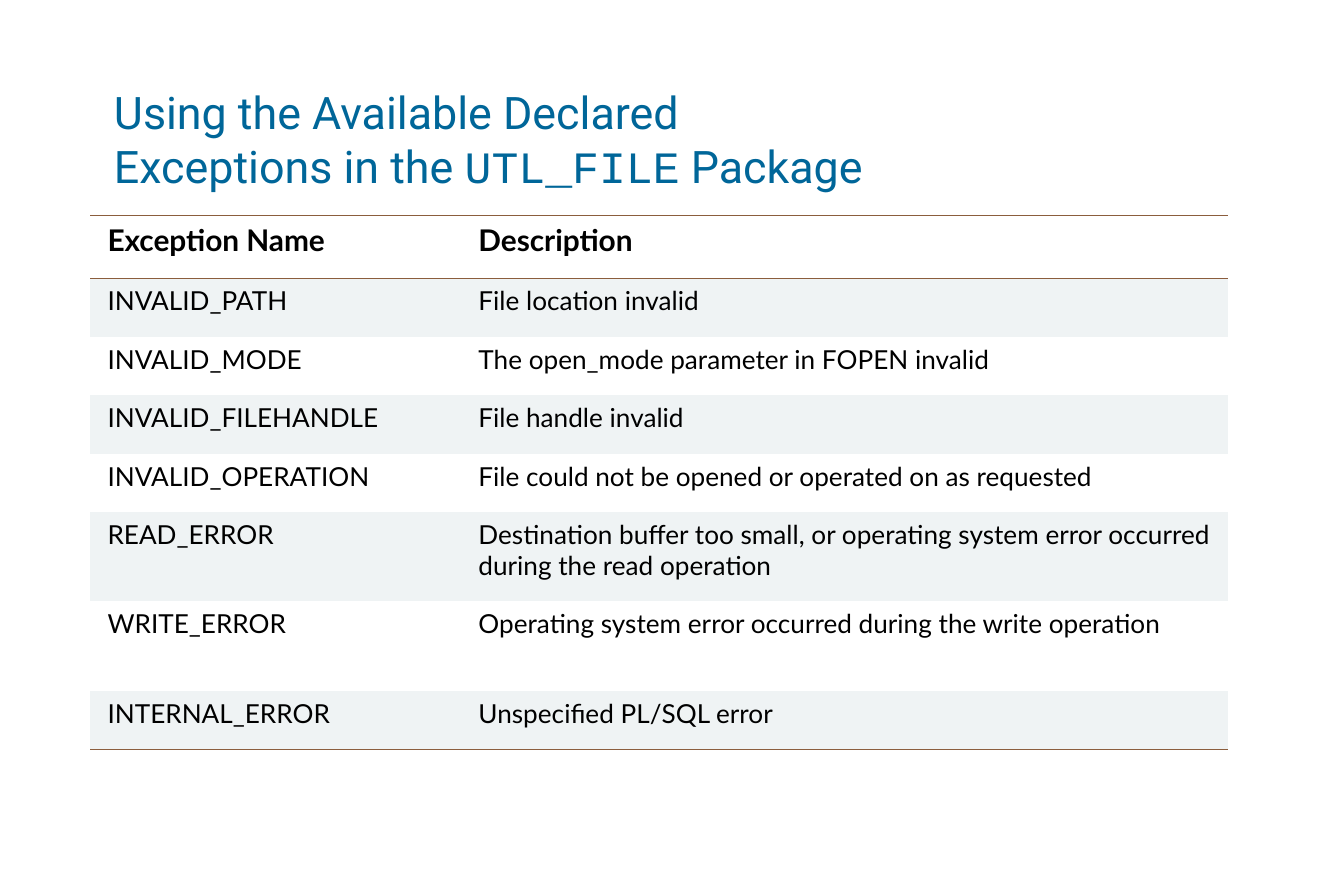
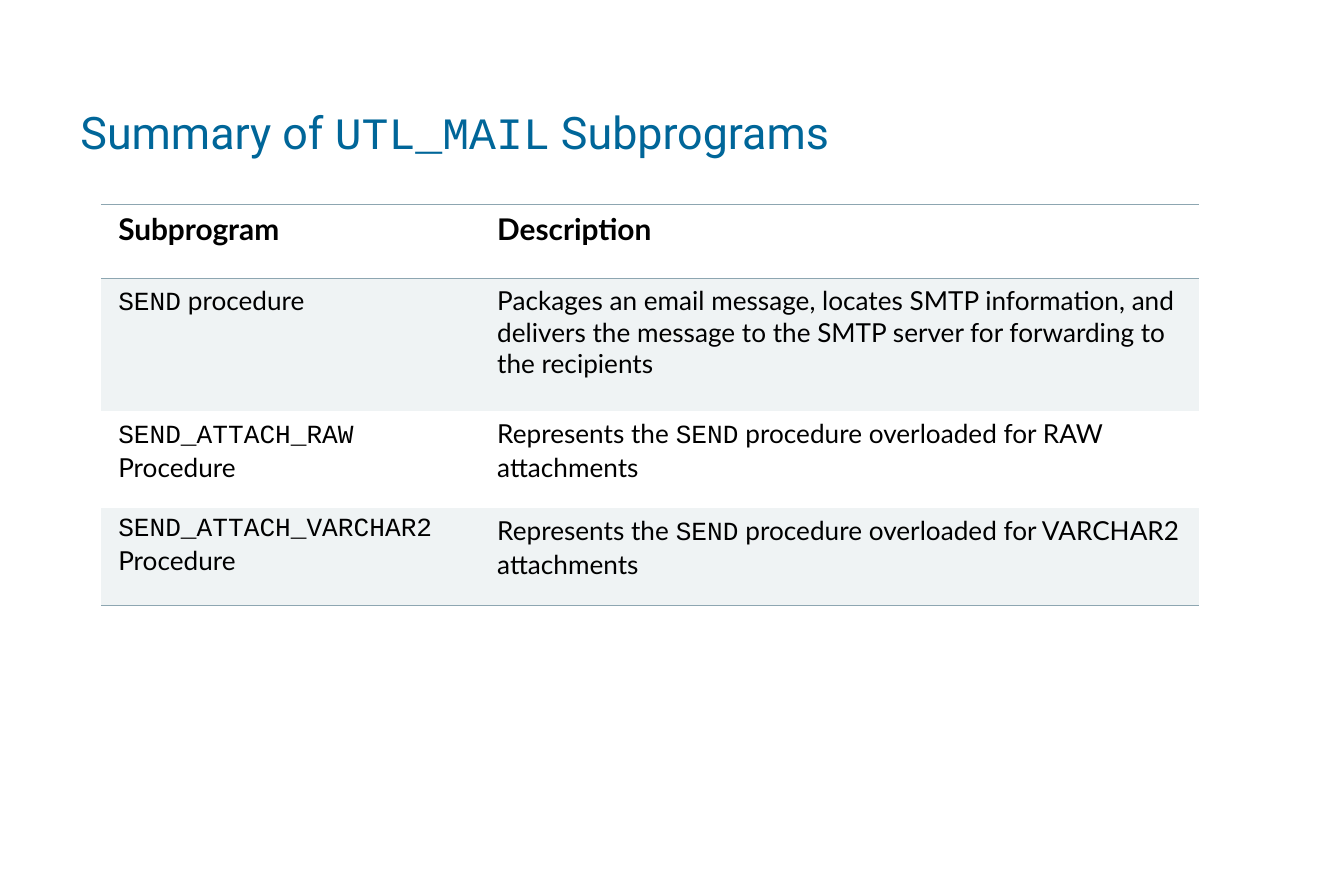
from lxml import etree
from pptx import Presentation
from pptx.dml.color import RGBColor
from pptx.enum.text import MSO_ANCHOR
from pptx.oxml.ns import qn
from pptx.util import Inches, Pt

MIDDLE = MSO_ANCHOR.MIDDLE
COLORS = {
    "title": "006699",
    "text": "000000",
    "band": "EFF3F4",
    "brown rule": "8B5D3D",
    "blue rule": "8DA6B1",
}
TITLE_FONT, TABLE_FONT, CODE_FONT = "Roboto", "Lato", "Courier New"
TITLE_SIZE, HEADER_SIZE, BODY_SIZE = 24, 16, 14
RULE_WIDTH = Pt(0.45)
BLANK_LAYOUT = 6

# Text between backticks is set in the code font.
EXCEPTIONS = [
    ("Exception Name", "Description"),
    ("INVALID_PATH", "File location invalid"),
    ("INVALID_MODE", "The open_mode parameter in FOPEN invalid"),
    ("INVALID_FILEHANDLE", "File handle invalid"),
    ("INVALID_OPERATION", "File could not be opened or operated on as requested"),
    ("READ_ERROR", "Destination buffer too small, or operating system error "
                   "occurred during the read operation"),
    ("WRITE_ERROR", "Operating system error occurred during the write operation"),
    ("INTERNAL_ERROR", "Unspecified PL/SQL error"),
]
SUBPROGRAMS = [
    ("Subprogram", "Description"),
    ("`SEND` procedure",
     "Packages an email message, locates SMTP information, and delivers the "
     "message to the SMTP server for forwarding to the recipients"),
    ("`SEND_ATTACH_RAW` Procedure",
     "Represents the `SEND` procedure overloaded for RAW attachments"),
    ("`SEND_ATTACH_VARCHAR2 `Procedure",
     "Represents the `SEND` procedure overloaded for VARCHAR2 attachments"),
]


def grid(cells):
    """Length of a number of grid cells, a hundred to the slide's width."""
    return Inches(cells / 10)


def rgb(name):
    return RGBColor.from_string(COLORS[name])


def write(paragraph, marked_text, font_name, size, color, bold=False):
    """Fill a paragraph, with the backticked parts in the code font."""
    font = paragraph.font
    font.size, font.bold = Pt(size), bold
    font.color.rgb = rgb(color)
    parts = marked_text.split("`")
    if len(parts) == 1:
        font.name = font_name
    for index, part in enumerate(parts):
        if not part:
            continue
        for line_number, line in enumerate(part.split("\n")):
            if line_number:
                paragraph.add_line_break()
            run = paragraph.add_run()
            run.text = line
            if len(parts) > 1:
                run.font.name = CODE_FONT if index % 2 else font_name


def add_title(slide, marked_text, left, top, width, height):
    box = slide.shapes.add_textbox(*map(grid, (left, top, width, height)))
    frame = box.text_frame
    frame.word_wrap = True
    frame.vertical_anchor = MIDDLE
    write(frame.paragraphs[0], marked_text, TITLE_FONT, TITLE_SIZE, "title")


def set_borders(cell, ruled_sides, color):
    """Rule the given sides of a cell and clear the others."""
    properties = cell._tc.get_or_add_tcPr()
    for side in "LRTB":
        line = etree.SubElement(properties, qn(f"a:ln{side}"), w=str(RULE_WIDTH))
        if side in ruled_sides:
            fill = etree.SubElement(line, qn("a:solidFill"))
            etree.SubElement(fill, qn("a:srgbClr"), val=COLORS[color])
        else:
            etree.SubElement(line, qn("a:noFill"))


def ruled_sides(row, last_row):
    if row == 0:
        return "TB"
    return ("T" if row == 1 else "") + ("B" if row == last_row else "")


def add_ruled_table(slide, entries, left, top, column_widths, row_heights,
                    rule_color, body_space):
    table = slide.shapes.add_table(
        len(entries), len(column_widths), grid(left), grid(top),
        grid(sum(column_widths)), grid(sum(row_heights))).table
    table.first_row = table.horz_banding = False
    for column, width in zip(table.columns, column_widths):
        column.width = grid(width)
    for row, height in zip(table.rows, row_heights):
        row.height = grid(height)

    for row, entry in enumerate(entries):
        is_header = row == 0
        for column, marked_text in enumerate(entry):
            cell = table.cell(row, column)
            cell.margin_left = cell.margin_right = grid(1.3)
            cell.margin_top = cell.margin_bottom = grid(0.5)
            set_borders(cell, ruled_sides(row, len(entries) - 1), rule_color)
            if row % 2:
                cell.fill.solid()
                cell.fill.fore_color.rgb = rgb("band")
            else:
                cell.fill.background()
            paragraph = cell.text_frame.paragraphs[0]
            paragraph.space_before = Pt(4 if is_header else body_space)
            write(paragraph, marked_text, TABLE_FONT,
                  HEADER_SIZE if is_header else BODY_SIZE, "text", is_header)


def main():
    deck = Presentation()
    deck.slide_width, deck.slide_height = grid(100), grid(65.3)
    blank = deck.slide_layouts[BLANK_LAYOUT]

    exceptions = deck.slides.add_slide(blank)
    add_title(exceptions,
              "Using the Available Declared \nExceptions in the `UTL_FILE` Package",
              7.5, 5.2, 90, 10.2)
    add_ruled_table(exceptions, EXCEPTIONS, 6.7, 16, (27.6, 57.1),
                    [4.7] + [4.35] * 4 + [6.65] * 2 + [4.35], "brown rule", 3.5)

    subprograms = deck.slides.add_slide(blank)
    add_title(subprograms, "Summary of `UTL_MAIL` Subprograms", 5, 6, 59.2, 7.5)
    add_ruled_table(subprograms, SUBPROGRAMS, 7.5, 15.2, (28.2, 53.5),
                    [5.5, 9.9, 7.2, 7.2], "blue rule", 0)

    deck.save("out.pptx")


if __name__ == "__main__":
    main()
